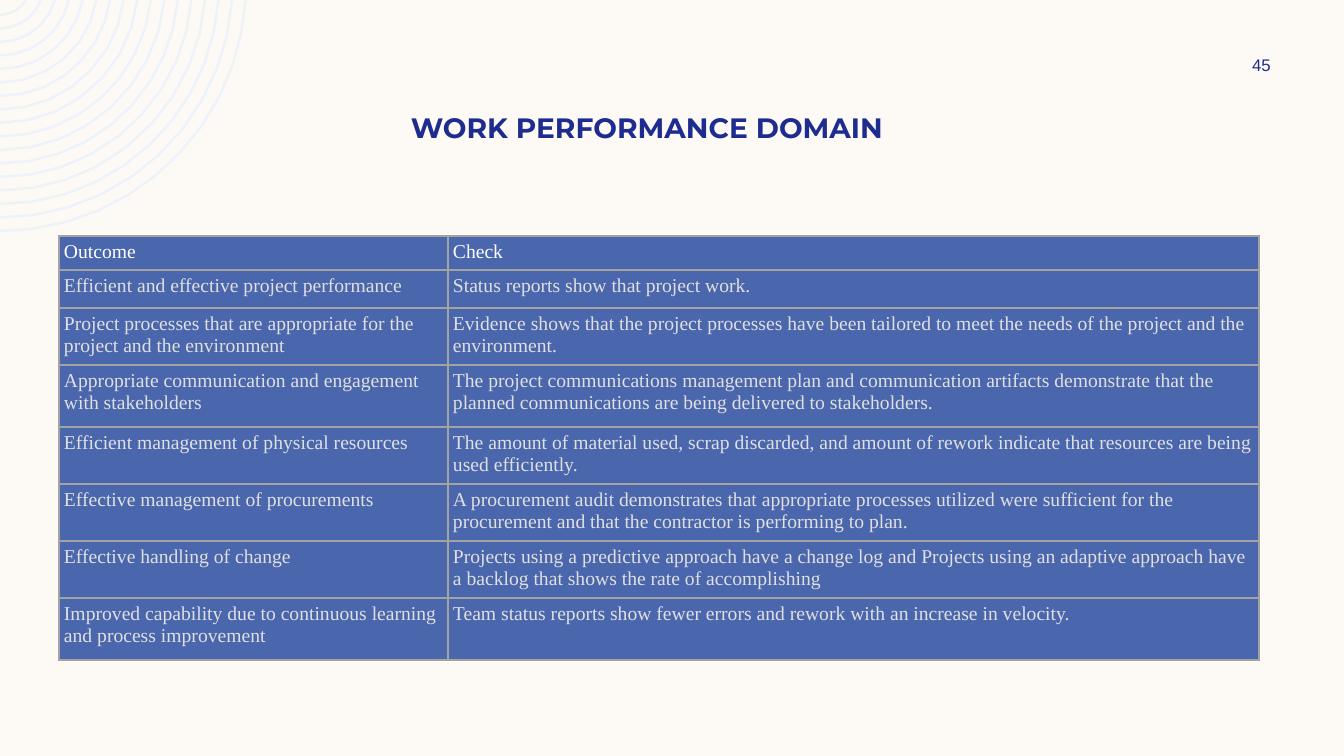
from math import asin, cos, pi, sin

from pptx import Presentation
from pptx.dml.color import RGBColor
from pptx.enum.text import MSO_ANCHOR as Anchor, PP_ALIGN as Align
from pptx.oxml import parse_xml
from pptx.oxml.ns import nsdecls
from pptx.util import Emu, Pt

CREAM = RGBColor(0xFD, 0xFA, 0xF6)
PALE_BLUE = RGBColor(0xEE, 0xF3, 0xFA)
NAVY = RGBColor(0x1F, 0x2C, 0x8F)
TABLE_BLUE = RGBColor(0x4A, 0x66, 0xAC)
BORDER_GREY = RGBColor(0xA3, 0xA3, 0xA3)
WHITE = RGBColor(0xFF, 0xFF, 0xFF)
LIGHT_GREY = RGBColor(0xE0, 0xE0, 0xE0)

COLUMN_WIDTHS = (389, 811)
ROW_HEIGHTS = (34, 38, 53, 62, 53, 53, 53, 62)
ROWS = (
    ("Outcome", "Check"),
    ("Efficient and effective project performance",
     "Status reports show that project work."),
    ("Project processes that are appropriate for the project and the environment",
     "Evidence shows that the project processes have been tailored to meet the needs "
     "of the project and the environment."),
    ("Appropriate communication and engagement with stakeholders",
     "The project communications management plan and communication artifacts demonstrate "
     "that the planned communications are being delivered to stakeholders."),
    ("Efficient management of physical resources",
     "The amount of material used, scrap discarded, and amount of rework indicate that "
     "resources are being used efficiently."),
    ("Effective management of procurements",
     "A procurement audit demonstrates that appropriate processes utilized were sufficient "
     "for the procurement and that the contractor is performing to plan."),
    ("Effective handling of change",
     "Projects using a predictive approach have a change log and Projects using an adaptive "
     "approach have a backlog that shows the rate of accomplishing"),
    ("Improved capability due to continuous learning and process improvement",
     "Team status reports show fewer errors and rework with an increase in velocity."),
)


def px(length):
    return Emu(round(length * 914400 / 100.8))


def set_font(para, name, size, color, bold=False):
    para.font.name = name
    para.font.size = Pt(size)
    para.font.color.rgb = color
    para.font.bold = bold


def arc(center_y, radius):
    """Points from the top edge of the page to its left edge."""
    steps = 4 + int(radius / 35)
    start = asin(-center_y / radius)
    angles = [start + (pi / 2 - start) * step / steps for step in range(steps + 1)]
    return [(px(radius * cos(angle)), px(center_y + radius * sin(angle)))
            for angle in angles]


def add_rings(page, center_y, outer_radius, gap, count):
    builder = None
    for index in range(count):
        first, *others = arc(center_y, outer_radius - index * gap)
        if builder is None:
            builder = page.shapes.build_freeform(*first)
        else:
            builder.move_to(*first)
        builder.add_line_segments(others, close=False)
    rings = builder.convert_to_shape()
    rings.shadow.inherit = False
    rings.fill.background()
    rings.line.color.rgb = PALE_BLUE
    rings.line.width = px(2.5)


def add_title(page, left, top, width, height):
    title = page.shapes.title
    title.left, title.top, title.width, title.height = map(px, (left, top, width, height))
    frame = title.text_frame
    frame.text = "WORK PERFORMANCE DOMAIN"
    frame.vertical_anchor = Anchor.TOP
    para = frame.paragraphs[0]
    para.alignment = Align.CENTER
    set_font(para, "Montserrat", 20, NAVY, bold=True)


def add_page_number(page, left, top, width, height):
    box = page.shapes.add_textbox(*map(px, (left, top, width, height)))
    frame = box.text_frame
    frame.word_wrap = True
    frame.vertical_anchor = Anchor.MIDDLE
    para = frame.paragraphs[0]
    para.text = "45"
    para.alignment = Align.CENTER
    set_font(para, "Arial", 12, NAVY)


def add_borders(cell):
    properties = cell._tc.get_or_add_tcPr()
    for index, side in enumerate(("lnL", "lnR", "lnT", "lnB")):
        border = parse_xml(f'<a:{side} {nsdecls("a")} w="{Pt(1)}"><a:solidFill>'
                           f'<a:srgbClr val="{BORDER_GREY}"/></a:solidFill></a:{side}>')
        properties.insert(index, border)


def add_outcome_table(page, left, top):
    size = sum(COLUMN_WIDTHS), sum(ROW_HEIGHTS)
    table = page.shapes.add_table(len(ROWS), len(COLUMN_WIDTHS),
                                  *map(px, (left, top, *size))).table
    for column, width in zip(table.columns, COLUMN_WIDTHS):
        column.width = px(width)
    for row, height, texts in zip(table.rows, ROW_HEIGHTS, ROWS):
        row.height = px(height)
        color = WHITE if texts == ROWS[0] else LIGHT_GREY
        for cell, text in zip(row.cells, texts):
            cell.margin_left = cell.margin_right = px(5)
            cell.margin_top = cell.margin_bottom = px(5)
            cell.fill.solid()
            cell.fill.fore_color.rgb = TABLE_BLUE
            add_borders(cell)
            cell.text = text
            set_font(cell.text_frame.paragraphs[0], "Times New Roman", 14, color)


def main():
    deck = Presentation()
    deck.slide_width, deck.slide_height = px(1344), px(756)
    page = deck.slides.add_slide(deck.slide_layouts[5])
    page.background.fill.solid()
    page.background.fill.fore_color.rgb = CREAM

    # Corner decoration
    add_rings(page, center_y=-15, outer_radius=246, gap=13.5, count=17)
    # Heading and page number
    add_title(page, 59, 105, 1176, 54)
    add_page_number(page, 1207, 50, 109, 30)
    # Outcomes and how to check them
    add_outcome_table(page, 59, 236)

    deck.save("out.pptx")


if __name__ == "__main__":
    main()
